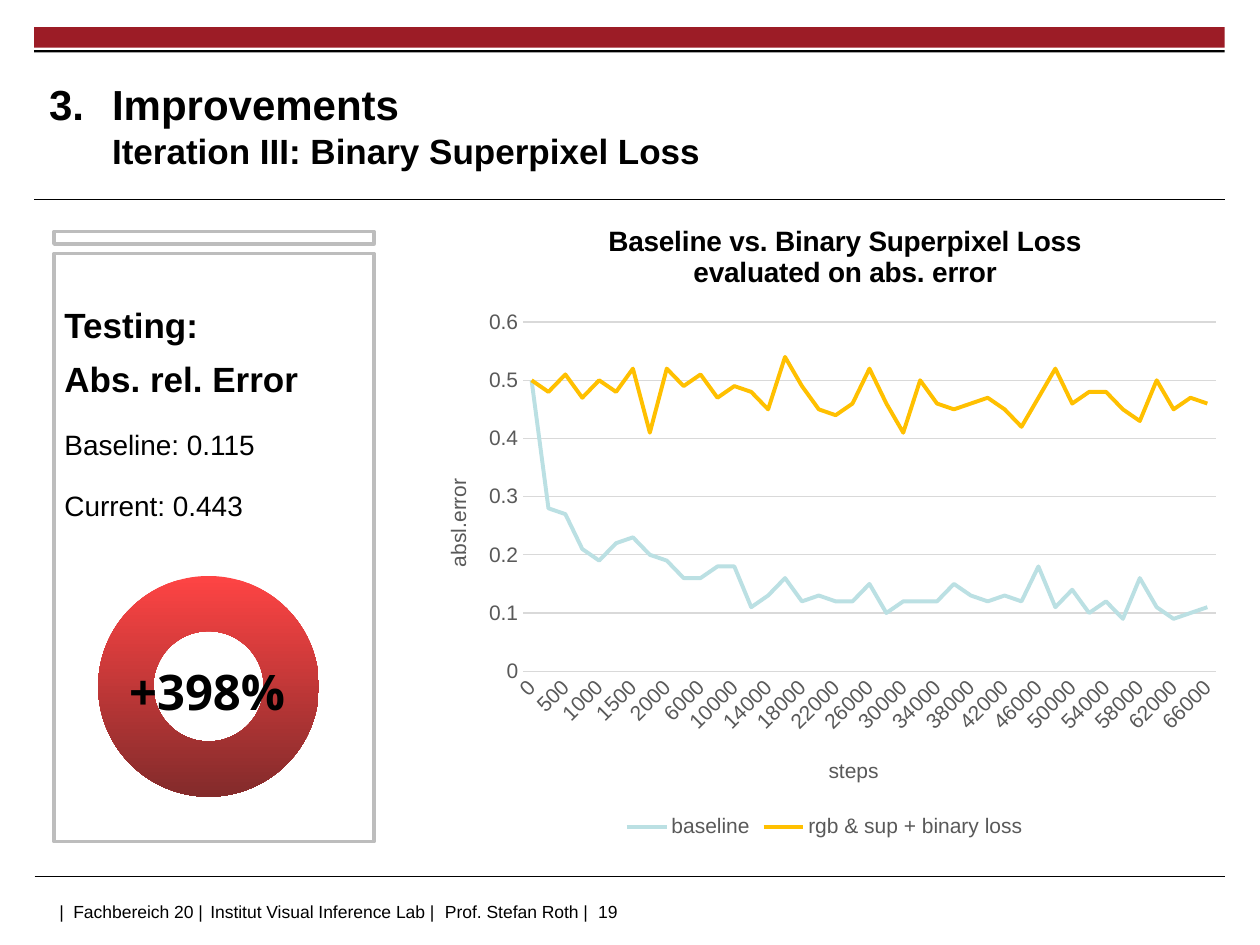
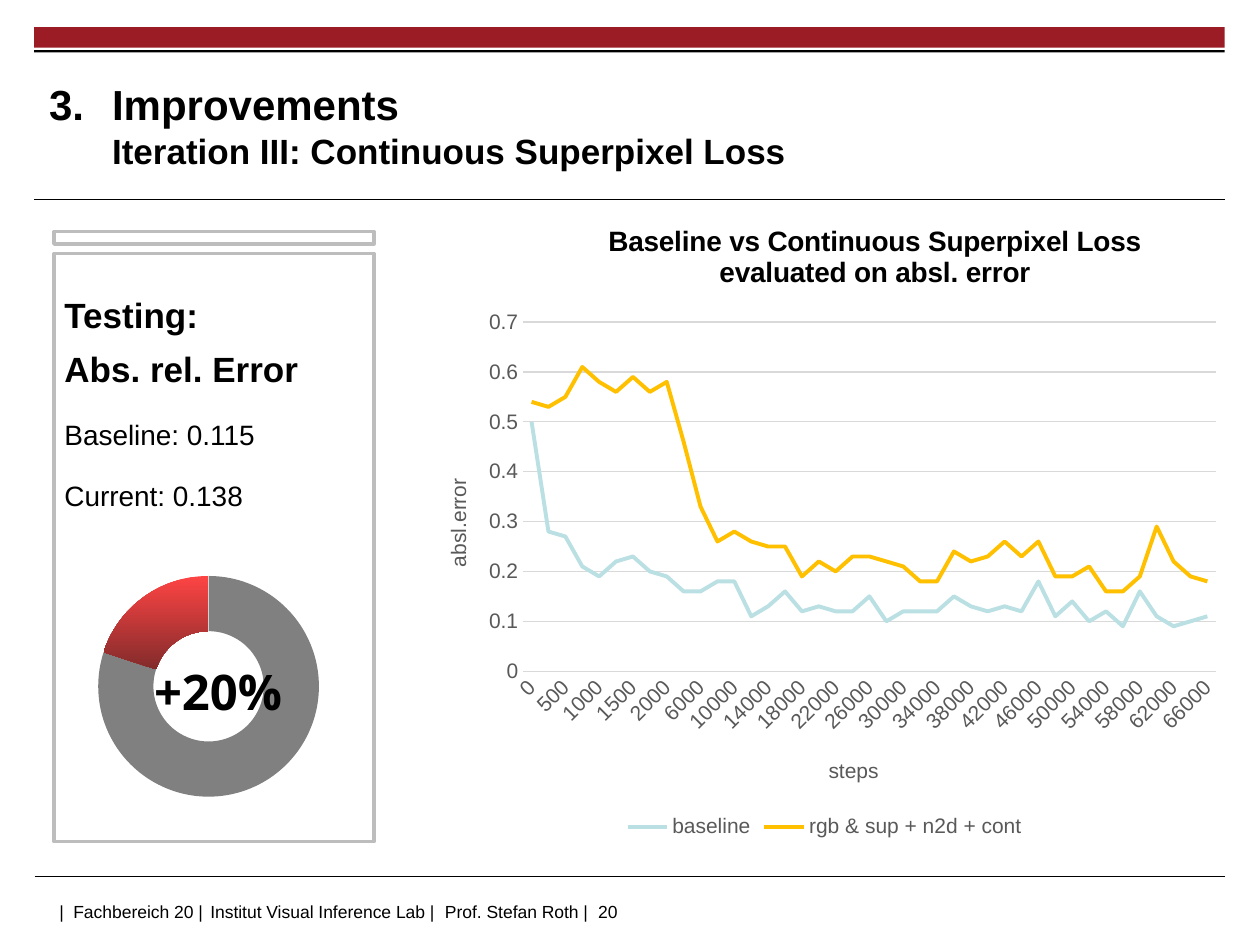
from lxml.etree import SubElement
from pptx import Presentation
from pptx.chart.data import CategoryChartData
from pptx.dml.color import RGBColor
from pptx.enum.chart import XL_CHART_TYPE, XL_LEGEND_POSITION, XL_TICK_MARK
from pptx.enum.shapes import MSO_CONNECTOR, MSO_SHAPE
from pptx.enum.text import MSO_ANCHOR, PP_ALIGN
from pptx.oxml import parse_xml
from pptx.oxml.ns import nsdecls, qn
from pptx.util import Cm, Pt

BLACK = RGBColor(0x00, 0x00, 0x00)
WHITE = RGBColor(0xFF, 0xFF, 0xFF)
RED = RGBColor(0x9C, 0x1C, 0x26)
FRAME = RGBColor(0xBD, 0xBD, 0xBD)
GREY = RGBColor(0x80, 0x80, 0x80)
LABEL = RGBColor(0x59, 0x59, 0x59)
GRID = RGBColor(0xD9, 0xD9, 0xD9)
AQUA = RGBColor(0xBB, 0xE0, 0xE3)
GOLD = RGBColor(0xFF, 0xC0, 0x00)
GLOW = RGBColor(0xFE, 0x44, 0x44)
DARK = RGBColor(0x83, 0x2B, 0x2B)

FOOTER = ["", "Fachbereich 20 |", "Institut Visual Inference Lab |",
          "Prof. Stefan Roth |"]
STOPS = [0.28, 3.04, 7.77, 10.86]
STEPS = [*range(0, 2000, 250), *range(2000, 66001, 2000)]
BASE = [0.5, 0.28, 0.27, 0.21, 0.19, 0.22, 0.23, 0.2, 0.19, 0.16, 0.16,
        0.18, 0.18, 0.11, 0.13, 0.16, 0.12, 0.13, 0.12, 0.12, 0.15, 0.1,
        0.12, 0.12, 0.12, 0.15, 0.13, 0.12, 0.13, 0.12, 0.18, 0.11, 0.14,
        0.1, 0.12, 0.09, 0.16, 0.11, 0.09, 0.1, 0.11]

SLIDES = [
    dict(page=19, topic="Binary Superpixel Loss",
         heading="Baseline vs. Binary Superpixel Loss\nevaluated on abs. error",
         error="0.443", change="+398%", ring=(0, 100), top=0.6,
         badge=(1.47, 5.41), notes=(5.41, 6.02),
         name="rgb & sup + binary loss",
         vals=[0.5, 0.48, 0.51, 0.47, 0.5, 0.48, 0.52, 0.41, 0.52, 0.49, 0.51,
               0.47, 0.49, 0.48, 0.45, 0.54, 0.49, 0.45, 0.44, 0.46, 0.52,
               0.46, 0.41, 0.5, 0.46, 0.45, 0.46, 0.47, 0.45, 0.42, 0.47,
               0.52, 0.46, 0.48, 0.48, 0.45, 0.43, 0.5, 0.45, 0.47, 0.46]),
    dict(page=20, topic="Continuous Superpixel Loss",
         heading="Baseline vs Continuous Superpixel Loss\n"
                 "evaluated on absl. error",
         error="0.138", change="+20%", ring=(80, 20), top=0.7,
         badge=(2.49, 3.81), notes=(5.21, 6.22),
         name="rgb & sup + n2d + cont",
         vals=[0.54, 0.53, 0.55, 0.61, 0.58, 0.56, 0.59, 0.56, 0.58, 0.46,
               0.33, 0.26, 0.28, 0.26, 0.25, 0.25, 0.19, 0.22, 0.2, 0.23,
               0.23, 0.22, 0.21, 0.18, 0.18, 0.24, 0.22, 0.23, 0.26, 0.23,
               0.26, 0.19, 0.19, 0.21, 0.16, 0.16, 0.19, 0.29, 0.22, 0.19,
               0.18]),
]


def style(font, size, color=BLACK, bold=False, face="Arial"):
    font.size, font.bold, font.name = Pt(size), bold, face
    font.color.rgb = color


def write(frame, text, sizes=(16,), align=None, lead=None, gap=None, **look):
    """Add one paragraph; sizes run line by line, the last one repeats."""
    para = frame.paragraphs[0]
    if para.runs:
        para = frame.add_paragraph()
    for i, line in enumerate(text.split("\n")):
        size = sizes[min(i, len(sizes) - 1)]
        if i:
            para.add_line_break()
            mark = para._p.findall(qn("a:br"))[-1]
            SubElement(mark, qn("a:rPr"), sz=str(size * 100))
        run = para.add_run()
        run.text = line
        style(run.font, size, **look)
    if align is not None:
        para.alignment = align
    if lead:
        para.line_spacing = lead
    if gap:
        para.space_before = Pt(gap)
    return para


def box(slide, x, y, w, h, inset=(0, 0, 0, 0), anchor=MSO_ANCHOR.TOP):
    frame = slide.shapes.add_textbox(Cm(x), Cm(y), Cm(w), Cm(h)).text_frame
    frame.word_wrap = True
    frame.vertical_anchor = anchor
    (frame.margin_left, frame.margin_top,
     frame.margin_right, frame.margin_bottom) = map(Cm, inset)
    return frame


def block(slide, x, y, w, h, fill, edge=None):
    shape = slide.shapes.add_shape(MSO_SHAPE.RECTANGLE,
                                   Cm(x), Cm(y), Cm(w), Cm(h))
    shape.shadow.inherit = False
    shape.fill.solid()
    shape.fill.fore_color.rgb = fill
    if edge is None:
        shape.line.fill.background()
    else:
        shape.line.color.rgb = edge
        shape.line.width = Pt(2)


def rule(slide, x, y, w):
    line = slide.shapes.add_connector(MSO_CONNECTOR.STRAIGHT,
                                      Cm(x), Cm(y), Cm(x + w), Cm(y))
    line.line.color.rgb = BLACK
    line.line.width = Pt(0.6)
    SubElement(line._element.spPr, qn("a:effectLst"))


def place(part, index, **spots):
    """Give a chart part a manual layout, as fractions of the chart."""
    for old in part.findall(qn("c:layout")):
        part.remove(old)
    target = '<c:layoutTarget val="inner"/>' if "w" in spots else ""
    modes = "".join(f'<c:{k}Mode val="edge"/>' for k in "xy")
    sizes = "".join(f'<c:{k} val="{v}"/>' for k, v in spots.items())
    part.insert(index, parse_xml(
        f'<c:layout {nsdecls("c")}><c:manualLayout>{target}{modes}{sizes}'
        '</c:manualLayout></c:layout>'))


def plot(slide, kind, names, series, area, spots, size):
    data = CategoryChartData()
    data.categories = [str(n) for n in names]
    for name, vals in series:
        data.add_series(name, vals)
    chart = slide.shapes.add_chart(kind, *map(Cm, area), data).chart
    style(chart.font, size)
    chart.has_title = chart.has_legend = False
    place(chart._chartSpace.chart.plotArea, 0, **spots)
    return chart


def caption(owner, title, text, x, y, **look):
    owner.has_title = True if hasattr(owner, "plots") else owner.has_title
    write(title.text_frame, text, **look)
    place(title._element, 1, x=x, y=y)


def ring(slide, vals):
    chart = plot(slide, XL_CHART_TYPE.DOUGHNUT, (1, 2), [("Series 1", vals)],
                 (0.69, 10.49, 6.45, 6.5),
                 dict(x=0.2, y=0.08, w=0.69, h=0.87), 10)
    pie = chart.plots[0]
    pie.vary_by_categories = True
    pie._element.find(qn("c:holeSize")).set("val", "80")
    rest, part = (pie.series[0].points[i].format.fill for i in range(2))
    rest.solid()
    rest.fore_color.rgb = GREY
    part.gradient()
    part.gradient_angle = 270
    for stop, color, spot in zip(part.gradient_stops, (GLOW, DARK), (0, 1)):
        stop.color.rgb = color
        stop.position = spot


def curves(slide, heading, name, vals, top):
    chart = plot(slide, XL_CHART_TYPE.LINE, STEPS,
                 [("baseline", BASE), (name, vals)],
                 (8.41, 4.19, 16.43, 12.8),
                 dict(x=0.13, y=0.18, w=0.85, h=0.55), 12)
    caption(chart, chart.chart_title, heading, 0.23, 0.02, bold=True)
    chart.plots[0].vary_by_categories = False
    for line, color in zip(chart.plots[0].series, (AQUA, GOLD)):
        line.smooth = False
        line.format.line.color.rgb = color
        line.format.line.width = Pt(2.25)

    low, side = chart.category_axis, chart.value_axis
    for axis, text, x, y in ((low, "steps", 0.5, 0.86),
                             (side, "absl.error", 0.03, 0.42)):
        axis.major_tick_mark = axis.minor_tick_mark = XL_TICK_MARK.NONE
        style(axis.tick_labels.font, 12, LABEL)
        caption(axis, axis.axis_title, text, x, y, sizes=(12,), color=LABEL)
    low.format.line.color.rgb = GRID
    low.format.line.width = Pt(0.75)
    low._element.find(qn("c:txPr")).find(qn("a:bodyPr")).set("rot", "-2700000")
    turn = side.axis_title.text_frame._txBody.find(qn("a:bodyPr"))
    turn.set("rot", "-5400000")
    turn.set("vert", "horz")
    side.minimum_scale, side.maximum_scale, side.major_unit = 0, top, 0.1
    side.tick_labels.number_format = "General"
    side.tick_labels.number_format_is_linked = False
    side.format.line.fill.background()
    side.major_gridlines.format.line.color.rgb = GRID
    side.major_gridlines.format.line.width = Pt(0.75)

    chart.has_legend = True
    chart.legend.position = XL_LEGEND_POSITION.BOTTOM
    chart.legend.include_in_layout = False
    style(chart.legend.font, 12, LABEL)


def base(slide, topic, page):
    """Draw the bands, rules, title and footer that every slide has."""
    block(slide, 0.69, 0.55, 24, 0.41, RED)
    block(slide, 0.69, 1.01, 24, 0.05, BLACK)
    rule(slide, 0.69, 4.03, 24)
    rule(slide, 0.7, 17.66, 24)

    foot = box(slide, 0.7, 18.03, 20.02, 0.64, (0.5, 0.13, 0.25, 0.13))
    props = foot.paragraphs[0]._p.get_or_add_pPr()
    tabs = SubElement(props, qn("a:tabLst"))
    for stop in STOPS:
        SubElement(tabs, qn("a:tab"), pos=str(Cm(stop)), algn="l")
    write(foot, "|" + "\t".join([*FOOTER, str(page)]), sizes=(10,))

    title = box(slide, 0.99, 1.35, 18.44, 2.34, anchor=MSO_ANCHOR.MIDDLE)
    props = title.paragraphs[0]._p.get_or_add_pPr()
    props.set("marL", str(Cm(1.27)))
    props.set("indent", str(-Cm(1.27)))
    SubElement(props, qn("a:buAutoNum"), type="arabicPeriod", startAt="3")
    write(title, f"Improvements\nIteration III: {topic}", sizes=(24, 20),
          bold=True)


def build(slide, item):
    base(slide, item["topic"], item["page"])
    for y, h in ((5.11, 11.86), (4.67, 0.25)):
        block(slide, 1.09, y, 6.45, h, WHITE, FRAME)
    ring(slide, item["ring"])
    curves(slide, item["heading"], item["name"], item["vals"], item["top"])

    x, w = item["badge"]
    badge = box(slide, x, 13, w, 1.45, (0.25, 0, 0.25, 0.13),
                MSO_ANCHOR.MIDDLE)
    write(badge, item["change"], sizes=(28,), align=PP_ALIGN.CENTER,
          lead=1.45, bold=True, face="Open Sans")

    y, w = item["notes"]
    notes = box(slide, 1.3, y, w, 4.9, (0, 0.45, 0.61, 0.1))
    write(notes, "Testing:\nAbs. rel. Error", sizes=(20,), lead=1.3, bold=True)
    for text in ("Baseline: 0.115", f"Current: {item['error']}"):
        write(notes, text, lead=1.3, gap=10)


def main():
    deck = Presentation()
    deck.slide_width, deck.slide_height = Cm(25.4), Cm(19.05)
    for item in SLIDES:
        build(deck.slides.add_slide(deck.slide_layouts[6]), item)
    deck.save("out.pptx")


if __name__ == "__main__":
    main()
